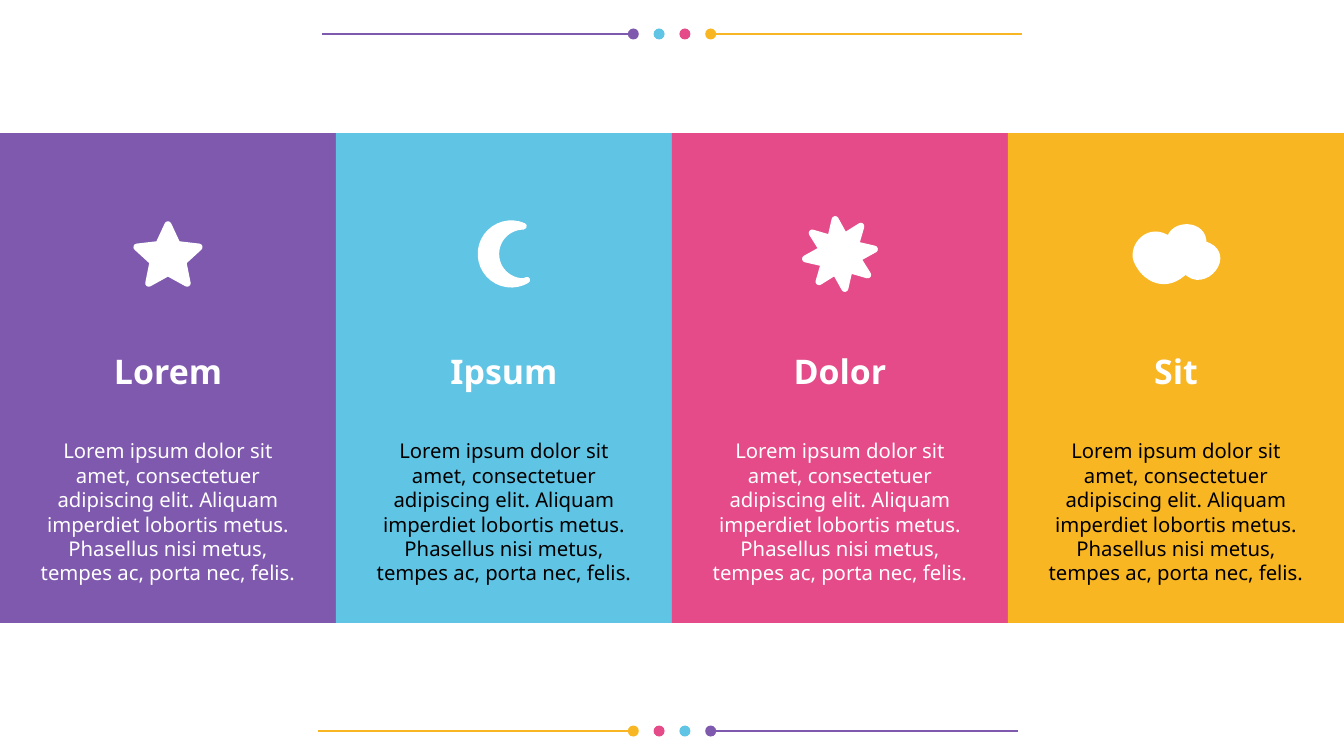
from math import cos, radians, sin

from lxml import etree
from pptx import Presentation
from pptx.dml.color import RGBColor
from pptx.enum.shapes import MSO_CONNECTOR, MSO_SHAPE
from pptx.enum.text import MSO_ANCHOR, PP_ALIGN
from pptx.oxml.ns import qn
from pptx.util import Inches, Pt

LINE = MSO_CONNECTOR.STRAIGHT
RECT, OVAL = MSO_SHAPE.RECTANGLE, MSO_SHAPE.OVAL
STAR, BURST = MSO_SHAPE.STAR_5_POINT, MSO_SHAPE.STAR_8_POINT
MIDDLE, CENTER = MSO_ANCHOR.MIDDLE, PP_ALIGN.CENTER

WIDE, HIGH = 11.02, 6.2
COL = WIDE / 4
ICON_Y = 0.336 * HIGH
FONT = "Noto Sans"
HUES = {
    "purple": "7F59AE",
    "blue": "60C4E4",
    "pink": "E54B89",
    "gold": "F8B622",
    "white": "FFFFFF",
    "black": "000000",
}
BANDS = [
    ("Lorem", "purple", "white"),
    ("Ipsum", "blue", "black"),
    ("Dolor", "pink", "white"),
    ("Sit", "gold", "black"),
]
BODY = (
    "Lorem ipsum dolor sit amet, consectetuer adipiscing elit. "
    "Aliquam imperdiet lobortis metus. Phasellus nisi metus, "
    "tempes ac, porta nec, felis."
)
CLOUD = [
    [(-0.05, -0.11), (-0.03, -0.26), (0.24, -0.25), (0.22, -0.08)],
    [(0.22, -0.08), (0.49, -0.01), (0.22, 0.31), (0.08, 0.13)],
    [(0.08, 0.13), (-0.08, 0.3), (-0.26, 0.2), (-0.32, 0.05)],
    [(-0.32, 0.05), (-0.36, -0.06), (-0.22, -0.24), (-0.05, -0.11)],
]


def color(name):
    """Return the named colour."""
    return RGBColor.from_string(HUES[name])


def paint(shape, hue, edge=0):
    """Fill a shape, with a round-cornered outline if edge is set."""
    shape.shadow.inherit = False
    shape.fill.solid()
    shape.fill.fore_color.rgb = color(hue)
    if not edge:
        shape.line.fill.background()
        return
    shape.line.color.rgb = color(hue)
    shape.line.width = Pt(edge)
    stroke = shape.line._get_or_add_ln()
    etree.SubElement(stroke, qn("a:round"))


def add_form(slide, kind, mid, size, hue, edge=0):
    """Add a preset shape around a middle point."""
    (x, y), (w, h) = mid, size
    box = [Inches(v) for v in (x - w / 2, y - h / 2, w, h)]
    shape = slide.shapes.add_shape(kind, *box)
    paint(shape, hue, edge)
    return shape


def add_blob(slide, mid, points, edge):
    """Add a closed white outline from points around a middle."""
    spots = [(Inches(mid[0] + x), Inches(mid[1] + y)) for x, y in points]
    pen = slide.shapes.build_freeform(*spots[0])
    pen.add_line_segments(spots[1:], close=True)
    paint(pen.convert_to_shape(), "white", edge)


def arc(x, y, r, start, end, steps=24):
    """Return points along a circle from start to end degrees."""
    turns = [radians(start + (end - start) * i / steps) for i in range(steps + 1)]
    return [(x + r * cos(a), y + r * sin(a)) for a in turns]


def curve(knots, steps=16):
    """Return points along a cubic curve, without its last one."""
    points = []
    for i in range(steps):
        t = i / steps
        parts = ((1 - t) ** 3, 3 * t * (1 - t) ** 2, 3 * t * t * (1 - t), t ** 3)
        points.append(tuple(
            sum(p * knot[axis] for p, knot in zip(parts, knots))
            for axis in (0, 1)
        ))
    return points


def add_text(slide, mid, size, text, points, hue, bold=False):
    """Add centred text around a middle point."""
    (x, y), (w, h) = mid, size
    box = [Inches(v) for v in (x - w / 2, y - h / 2, w, h)]
    frame = slide.shapes.add_textbox(*box).text_frame
    frame.word_wrap = True
    frame.vertical_anchor = MIDDLE
    frame.margin_left = frame.margin_right = 0
    frame.margin_top = frame.margin_bottom = 0
    para = frame.paragraphs[0]
    para.alignment = CENTER
    run = para.add_run()
    run.text = text
    run.font.name = FONT
    run.font.size = Pt(points)
    run.font.bold = bold
    run.font.color.rgb = color(hue)


def add_rule(slide, start, end, y, hue):
    """Add a thin level line."""
    ends = [Inches(v) for v in (start, y, end, y)]
    rule = slide.shapes.add_connector(LINE, *ends)
    rule.line.color.rgb = color(hue)
    rule.line.width = Pt(0.82)
    etree.SubElement(rule._element.spPr, qn("a:effectLst"))


def add_trim(slide, y, hues, shift):
    """Add a row of four dots between two lines."""
    gap, reach = 0.0192 * WIDE, 0.2315 * WIDE
    first = WIDE / 2 - 1.5 * gap
    last = first + 3 * gap
    add_rule(slide, first + shift - reach, first + shift, y, hues[0])
    add_rule(slide, last + shift, last + shift + reach, y, hues[-1])
    for i, hue in enumerate(hues):
        add_form(slide, OVAL, (first + i * gap, y), (0.09, 0.09), hue)


def add_icons(slide):
    """Add star, moon, sun burst and cloud, one in each column."""
    spots = [((i + 0.5) * COL, ICON_Y) for i in range(4)]
    star = add_form(slide, STAR, spots[0], (0.51, 0.48), "white", 4.14)
    star.adjustments[0] = 0.24
    moon = arc(0.06, 0, 0.25, 59, 294) + arc(0.16, 0, 0.225, 270, 90)
    add_blob(slide, spots[1], moon, 3.66)
    burst = add_form(slide, BURST, spots[2], (0.57, 0.57), "white", 4.14)
    burst.adjustments[0] = 0.26
    burst.rotation = -8
    cloud = [point for knots in CLOUD for point in curve(knots)]
    add_blob(slide, spots[3], cloud, 4.14)


def main():
    """Build and save the slide."""
    deck = Presentation()
    deck.slide_width, deck.slide_height = Inches(WIDE), Inches(HIGH)
    slide = deck.slides.add_slide(deck.slide_layouts[6])
    hues = [hue for _, hue, _ in BANDS]
    for i, (title, hue, ink) in enumerate(BANDS):
        x = (i + 0.5) * COL
        add_form(slide, RECT, (x, HIGH / 2), (COL, 0.648 * HIGH), hue)
        add_text(slide, (x, 0.49 * HIGH), (0.63 * COL, 0.115 * HIGH),
                 title, 20, "white", True)
        add_text(slide, (x, 0.677 * HIGH), (0.777 * COL, 0.2 * HIGH),
                 BODY, 12, ink)
    add_icons(slide)
    add_trim(slide, 0.045 * HIGH, hues, 0)
    add_trim(slide, 0.967 * HIGH, hues[::-1], -0.035)
    deck.save("out.pptx")


if __name__ == "__main__":
    main()
